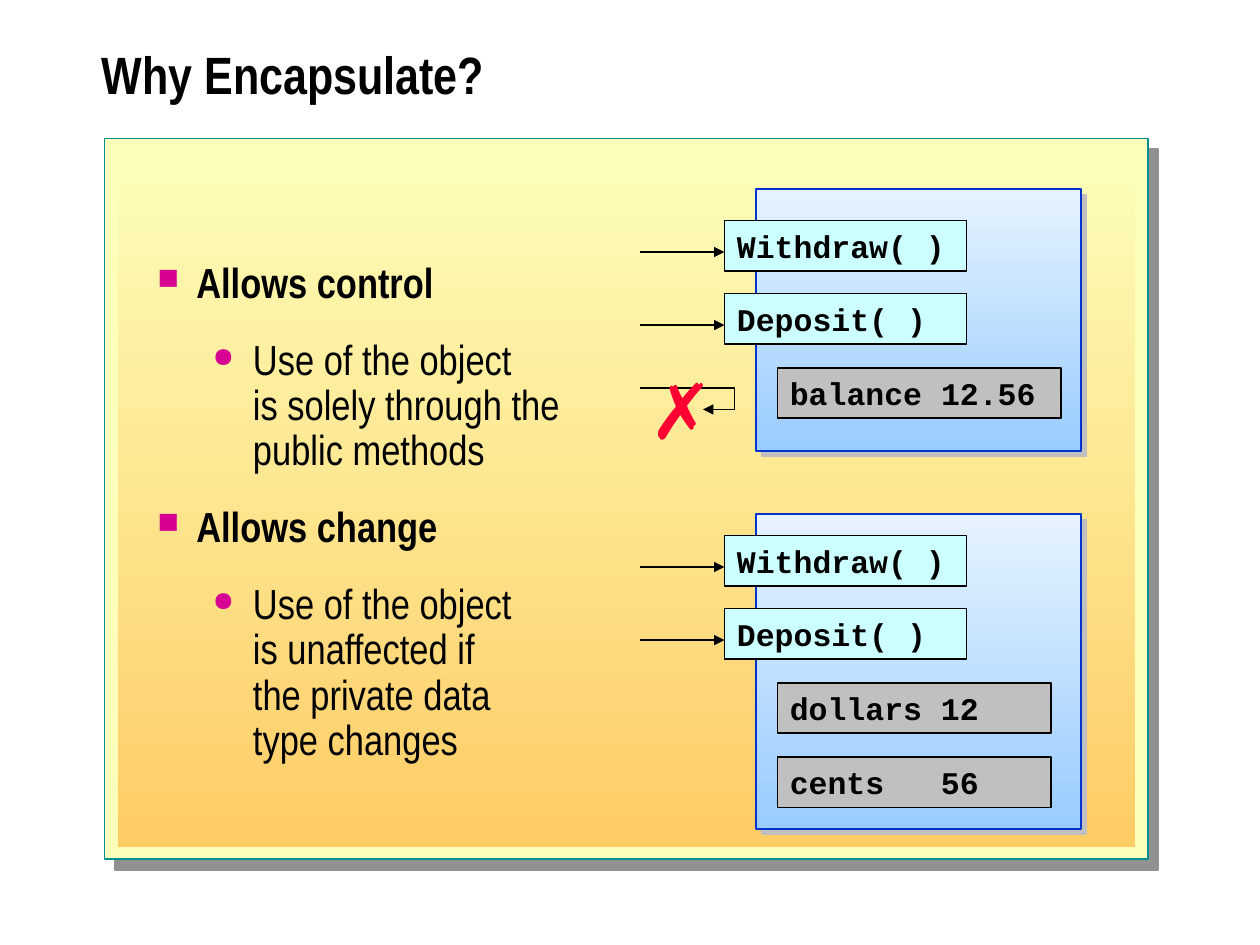
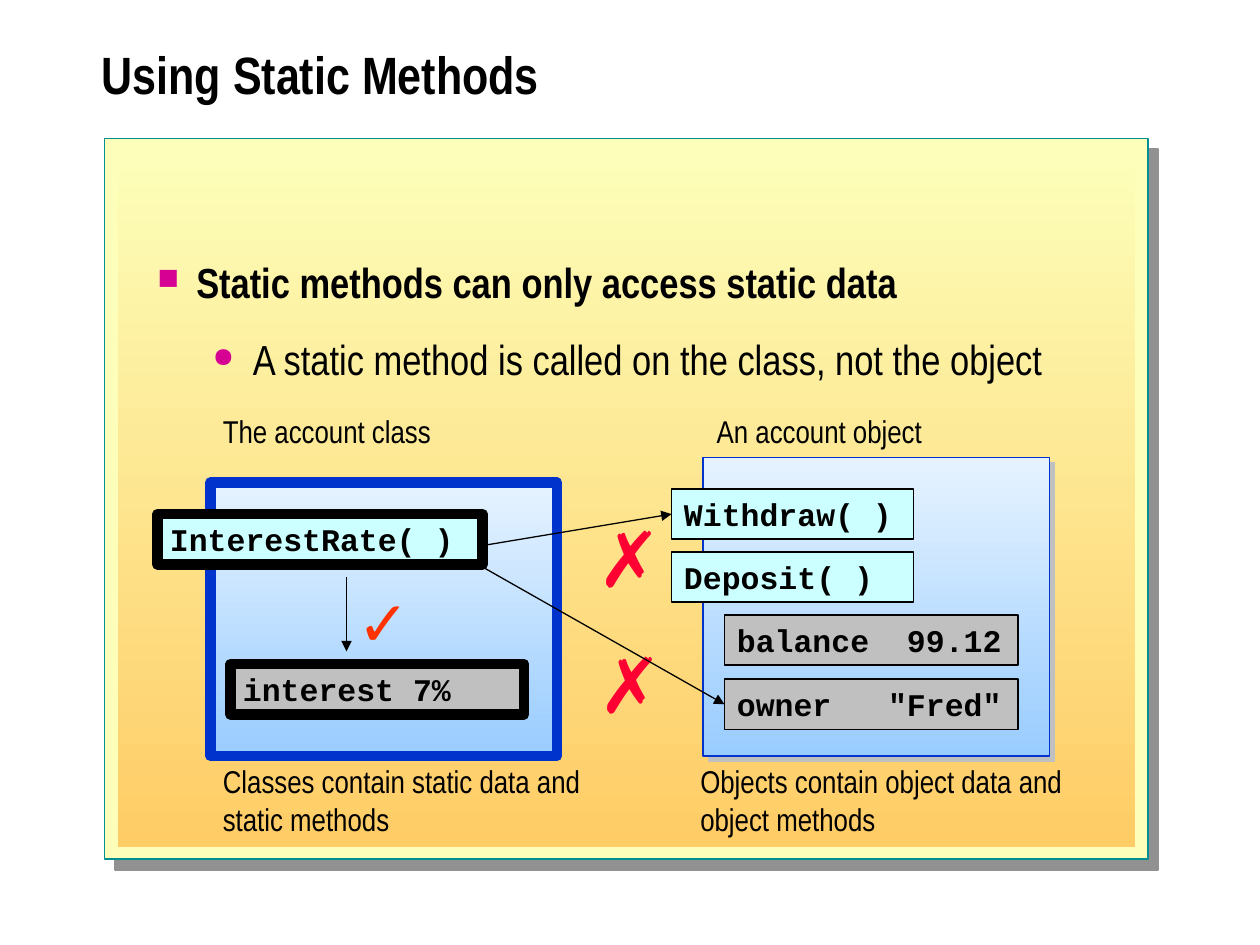
"""Build two slides on encapsulation and static methods."""
from dataclasses import dataclass

from lxml import etree
from pptx import Presentation
from pptx.dml.color import RGBColor
from pptx.enum.shapes import MSO_CONNECTOR, MSO_SHAPE
from pptx.enum.text import MSO_ANCHOR, MSO_AUTO_SIZE, PP_ALIGN
from pptx.oxml.ns import qn
from pptx.util import Emu, Pt

PX = 9144
RECTANGLE = MSO_SHAPE.RECTANGLE
STRAIGHT, ELBOW = MSO_CONNECTOR.STRAIGHT, MSO_CONNECTOR.ELBOW
TOP, MIDDLE = MSO_ANCHOR.TOP, MSO_ANCHOR.MIDDLE
LEFT = PP_ALIGN.LEFT
NO_FIT, FIT_SHAPE = MSO_AUTO_SIZE.NONE, MSO_AUTO_SIZE.SHAPE_TO_FIT_TEXT
LEFT_SIDE = 1
SANS, NARROW, MONO = "Arial", "Arial Narrow", "Courier New"
MEMBER_HEIGHT = 40

COLORS = {
    "text": "000000",
    "frame": "FCFEB9",
    "frame_line": "009094",
    "frame_shadow": "919191",
    "frame_end": "FFCC66",
    "bullet": "D60093",
    "card": "E6F3FF",
    "card_end": "99CCFF",
    "card_line": "0033CC",
    "card_shadow": "C0C0C0",
    "method": "CCFFFF",
    "field": "C0C0C0",
    "cross": "FF0033",
    "check": "FF3300",
}


@dataclass(frozen=True)
class Rect:
    """A place on the slide, in px."""
    left: int
    top: int
    width: int
    height: int

    def emu(self) -> tuple[Emu, ...]:
        """Return the four lengths in EMU."""
        return tuple(Emu(v * PX) for v in (self.left, self.top, self.width, self.height))


@dataclass(frozen=True)
class Bullet:
    """The look of one list level."""
    char: str
    size: int
    margin: int
    hanging: int
    bold: bool


@dataclass(frozen=True)
class Member:
    """A method or field of a card, with an optional right tab for its value."""
    text: str
    kind: str
    left: int
    width: int
    tab: int = 0


@dataclass(frozen=True)
class Card:
    """A class or object with members spread evenly from the first to the last."""
    rect: Rect
    first: int
    span: int
    members: tuple[Member, ...]
    static: bool = False


BULLETS = (Bullet("■", 70, 31, 31, True), Bullet("●", 65, 76, 32, False))


def account_methods(left: int) -> tuple[Member, ...]:
    """Return the two public methods of an account object."""
    return tuple(Member(name, "method", left, 192) for name in ("Withdraw( )", "Deposit( )"))


CONTROL_CARD = Card(Rect(600, 150, 258, 208), 175, 117,
                    account_methods(575) + (Member("balance 12.56", "field", 617, 225),))
CHANGE_CARD = Card(Rect(600, 408, 258, 250), 425, 176, account_methods(575) + (
    Member("dollars 12", "field", 617, 217),
    Member("cents\t56", "field", 617, 217, 150)))
CLASS_CARD = Card(Rect(167, 383, 275, 217), 408, 119, (
    Member("InterestRate( )", "method", 125, 258),
    Member("interest 7%", "field", 183, 233)), True)
OBJECT_CARD = Card(Rect(558, 363, 275, 237), 388, 151, account_methods(533) + (
    Member("balance\t99.12", "field", 575, 233, 210),
    Member("owner\t\"Fred\"", "field", 575, 233, 210)))
CAPTIONS = (
    (Rect(559, 322, 183, 40), "An account object"),
    (Rect(167, 322, 185, 40), "The account class"),
    (Rect(167, 600, 309, 70), "Classes contain static data and\nstatic methods"),
    (Rect(546, 600, 313, 70), "Objects contain object data and\nobject methods"),
)


def rgb(name: str) -> RGBColor:
    """Look up a colour."""
    return RGBColor.from_string(COLORS[name])


def add_xml(parent, tag: str, **attrs):
    """Append a DrawingML element with the given attributes."""
    return etree.SubElement(parent, qn(f"a:{tag}"), {k: str(v) for k, v in attrs.items()})


def style_text(p, font: str, size: int, color: str = "text", bold: bool = False) -> None:
    """Format every run of a paragraph."""
    p.alignment = LEFT
    for r in p.runs:
        r.font.name, r.font.size, r.font.bold = font, Pt(size), bold
        r.font.color.rgb = rgb(color)


def add_text(slide, rect: Rect, text: str, font: str, size: int,
             color: str = "text", bold: bool = False):
    """Add a text box that fits its text without wrapping."""
    tf = slide.shapes.add_textbox(*rect.emu()).text_frame
    tf.word_wrap, tf.auto_size = False, FIT_SHAPE
    tf.text = text
    for p in tf.paragraphs:
        style_text(p, font, size, color, bold)
    return tf


def add_rect(slide, rect: Rect, fill: str, fill_end: str = "", line: str = "",
             weight: float = 1, shadow: str = "", distance: float = 0):
    """Add a rectangle with a plain or downward gradient fill."""
    sp = slide.shapes.add_shape(RECTANGLE, *rect.emu())
    sp.shadow.inherit = False
    if fill_end:
        sp.fill.gradient()
        sp.fill.gradient_angle = 270
        for stop, name in zip(sp.fill.gradient_stops, (fill, fill_end)):
            stop.color.rgb = rgb(name)
    else:
        sp.fill.solid()
        sp.fill.fore_color.rgb = rgb(fill)
    if line:
        sp.line.color.rgb = rgb(line)
        sp.line.width = Pt(weight)
    else:
        sp.line.fill.background()
    if shadow:
        effects = sp._element.spPr.find(qn("a:effectLst"))
        outer = add_xml(effects, "outerShdw", dist=Pt(distance), dir=45 * 60000,
                        algn="ctr", rotWithShape=0)
        add_xml(outer, "srgbClr", val=COLORS[shadow])
    return sp


def add_member(slide, member: Member, top: int, weight: float):
    """Add one method or field box."""
    rect = Rect(member.left, top, member.width, MEMBER_HEIGHT)
    sp = add_rect(slide, rect, member.kind, line="text", weight=weight)
    tf = sp.text_frame
    tf.word_wrap, tf.vertical_anchor = True, TOP
    tf.text = member.text
    p = tf.paragraphs[0]
    style_text(p, MONO, 18, bold=True)
    if member.tab:
        tabs = add_xml(p._p.get_or_add_pPr(), "tabLst")
        add_xml(tabs, "tab", pos=member.tab * PX, algn="r")
    return sp


def add_card(slide, card: Card) -> list:
    """Add a card and return its member boxes."""
    if card.static:
        add_rect(slide, card.rect, "card", "card_end", "card_line", 6)
    else:
        add_rect(slide, card.rect, "card", "card_end", "card_line", 0.75, "card_shadow", 4.2)
    last = len(card.members) - 1
    return [add_member(slide, m, card.first + i * card.span // last, 6 if card.static else 1)
            for i, m in enumerate(card.members)]


def add_arrow(slide, x1: int, y1: int, x2: int, y2: int, kind=STRAIGHT, target=None):
    """Add an arrow, joined to the left side of the target if there is one."""
    cn = slide.shapes.add_connector(kind, *(Emu(v * PX) for v in (x1, y1, x2, y2)))
    cn.line.color.rgb = rgb("text")
    cn.line.width = Pt(0.75)
    spPr = cn._element.spPr
    add_xml(spPr.find(qn("a:ln")), "tailEnd", type="triangle")
    add_xml(spPr, "effectLst")
    if target is not None:
        cn.end_connect(target, LEFT_SIDE)
    return cn


def add_calls(slide, card: Card) -> None:
    """Add an arrow from outside to each method of a card."""
    for sp, member in zip(add_card(slide, card), card.members):
        if member.kind == "method":
            y = sp.top // PX + 25
            add_arrow(slide, member.left - 67, y, member.left, y)


def add_cross(slide, left: int, top: int) -> None:
    """Add a cross that marks a forbidden access."""
    add_text(slide, Rect(left, top, 62, 83), "✗", SANS, 44, "cross")


def add_bullets(slide, items: tuple[tuple[int, str], ...]) -> None:
    """Add the body list from pairs of level and text."""
    tf = add_text(slide, Rect(115, 203, 787, 469), "", NARROW, 24)
    tf.word_wrap, tf.auto_size = True, NO_FIT
    for i, (level, text) in enumerate(items):
        p = tf.add_paragraph() if i else tf.paragraphs[0]
        bullet = BULLETS[level]
        p.text = text
        p.level, p.line_spacing, p.space_before = level, 0.9, Pt(18)
        style_text(p, NARROW, 24, bold=bullet.bold)
        pPr = p._p.get_or_add_pPr()
        pPr.set("marL", str(bullet.margin * PX))
        pPr.set("indent", str(-bullet.hanging * PX))
        add_xml(add_xml(pPr, "buClr"), "srgbClr", val=COLORS["bullet"])
        add_xml(pPr, "buSzPct", val=bullet.size * 1000)
        add_xml(pPr, "buChar", char=bullet.char)


def add_slide(prs, title: str, items: tuple[tuple[int, str], ...]):
    """Add a slide with the shared frame, title and list."""
    slide = prs.slides.add_slide(prs.slide_layouts[6])
    add_rect(slide, Rect(83, 110, 828, 572), "frame", line="frame_line",
             shadow="frame_shadow", distance=8.5)
    add_rect(slide, Rect(94, 122, 807, 550), "frame", "frame_end")
    tf = add_text(slide, Rect(71, 17, 896, 92), title, NARROW, 30, bold=True)
    tf.word_wrap, tf.auto_size, tf.vertical_anchor = True, NO_FIT, MIDDLE
    tf.paragraphs[0].line_spacing = 0.8
    add_bullets(slide, items)
    return slide


def build_encapsulate(prs) -> None:
    """Build the slide on the reasons to encapsulate."""
    slide = add_slide(prs, "Why Encapsulate?", (
        (0, "Allows control"),
        (1, "Use of the object\nis solely through the\npublic methods"),
        (0, "Allows change"),
        (1, "Use of the object\nis unaffected if\nthe private data\ntype changes"),
    ))
    for card in (CHANGE_CARD, CONTROL_CARD):
        add_calls(slide, card)
    blocked = add_arrow(slide, 508, 308, 558, 325, ELBOW)
    guides = blocked._element.spPr.find(qn("a:prstGeom")).get_or_add_avLst()
    add_xml(guides, "gd", name="adj1", fmla="val 150000")
    add_cross(slide, 506, 283)


def build_static(prs) -> None:
    """Build the slide on static methods."""
    slide = add_slide(prs, "Using Static Methods", (
        (0, "Static methods can only access static data"),
        (1, "A static method is called on the class, not the object"),
    ))
    add_card(slide, CLASS_CARD)
    withdraw, _, _, owner = add_card(slide, OBJECT_CARD)
    for rect, text in CAPTIONS:
        add_text(slide, rect, text, NARROW, 18)
    add_arrow(slide, 275, 458, 275, 517)
    add_cross(slide, 465, 500)
    add_arrow(slide, 383, 433, 533, 408, target=withdraw)
    add_arrow(slide, 383, 450, 575, 559, target=owner)
    add_cross(slide, 464, 400)
    add_text(slide, Rect(274, 458, 61, 70), "✓", SANS, 36, "check")


def main() -> None:
    """Build and save the presentation."""
    prs = Presentation()
    prs.slide_width, prs.slide_height = Emu(1000 * PX), Emu(750 * PX)
    build_encapsulate(prs)
    build_static(prs)
    prs.save("out.pptx")


if __name__ == "__main__":
    main()
